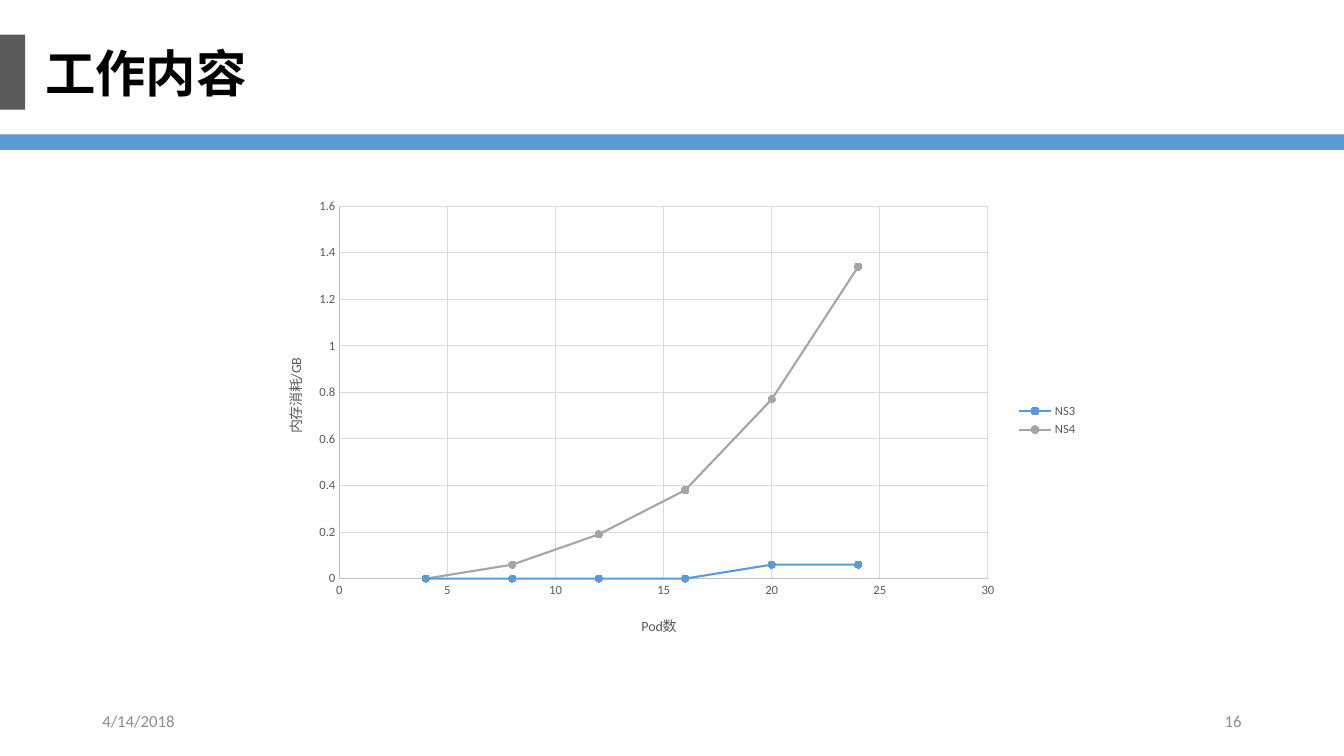
from pptx import Presentation
from pptx.chart.data import XyChartData
from pptx.dml.color import RGBColor
from pptx.enum.chart import XL_CHART_TYPE as ChartType
from pptx.enum.chart import XL_LEGEND_POSITION as LegendPosition
from pptx.enum.chart import XL_MARKER_STYLE as MarkerStyle
from pptx.enum.chart import XL_TICK_MARK as TickMark
from pptx.enum.shapes import MSO_SHAPE as Preset
from pptx.enum.text import MSO_ANCHOR as Anchor
from pptx.enum.text import MSO_AUTO_SIZE as AutoSize
from pptx.enum.text import PP_ALIGN as Align
from pptx.oxml import parse_xml
from pptx.oxml.ns import nsdecls, qn
from pptx.util import Pt

BLACK = RGBColor(0x00, 0x00, 0x00)
DARK_GREY = RGBColor(0x59, 0x59, 0x59)
FOOTER_GREY = RGBColor(0x8C, 0x8C, 0x8C)
SERIES_GREY = RGBColor(0xA5, 0xA5, 0xA5)
AXIS_GREY = RGBColor(0xBF, 0xBF, 0xBF)
GRID_GREY = RGBColor(0xD9, 0xD9, 0xD9)
BLUE = RGBColor(0x5B, 0x9B, 0xD5)

PODS = [4, 8, 12, 16, 20, 24]
MEMORY = [
    ("NS3", BLUE, [0, 0, 0, 0, 0.06, 0.06]),
    ("NS4", SERIES_GREY, [0, 0.06, 0.19, 0.38, 0.77, 1.34]),
]


def set_font(font, size, color, name="Calibri", bold=False):
    font.size, font.name, font.bold = Pt(size), name, bold
    font.color.rgb = color


def write(frame, text, align=Align.LEFT, east_asian=None, **style):
    """Fill a text frame with one formatted paragraph."""
    para = frame.paragraphs[0]
    para.alignment = align
    span = para.add_run()
    span.text = text
    set_font(span.font, **style)
    if east_asian:
        span.font._element.append(
            parse_xml(f'<a:ea {nsdecls("a")} typeface="{east_asian}"/>'))


def set_layout(element, index, target="", **fractions):
    """Place a chart part by fractions of the chart area."""
    old = element.find(qn("c:layout"))
    if old is not None:
        element.remove(old)
    modes = "".join(f'<c:{side}Mode val="edge"/>' for side in "xy")
    values = "".join(f'<c:{key} val="{value}"/>' for key, value in fractions.items())
    element.insert(index, parse_xml(
        f'<c:layout {nsdecls("c")}><c:manualLayout>{target}{modes}{values}'
        "</c:manualLayout></c:layout>"))


class PageBuilder:
    font = "Calibri"
    heading_font = "Noto Sans CJK SC"

    def __init__(self, page):
        self.page = page

    def bar(self, left, top, width, height, color, rotation=0):
        box = self.page.shapes.add_shape(
            Preset.RECTANGLE, Pt(left), Pt(top), Pt(width), Pt(height))
        box.shadow.inherit = False
        box.fill.solid()
        box.fill.fore_color.rgb = color
        box.line.fill.background()
        box.rotation = rotation

    def text_box(self, left, top, width, height):
        box = self.page.shapes.add_textbox(Pt(left), Pt(top), Pt(width), Pt(height))
        return box.text_frame

    def heading(self, text):
        frame = self.text_box(25.2, 26.6, 160, 51)
        frame.word_wrap = False
        frame.auto_size = AutoSize.SHAPE_TO_FIT_TEXT
        write(frame, text, size=36, color=BLACK, name=self.heading_font,
              east_asian=self.heading_font, bold=True)

    def footer(self, left, text, align):
        frame = self.text_box(left, 500.5, 216, 28.75)
        frame.word_wrap = True
        frame.vertical_anchor = Anchor.MIDDLE
        write(frame, text, align, size=12, color=FOOTER_GREY, name=self.font)

    def axis(self, axis, title, maximum, step, x, y):
        axis.minimum_scale, axis.maximum_scale, axis.major_unit = 0, maximum, step
        axis.major_tick_mark = axis.minor_tick_mark = TickMark.NONE
        axis.has_major_gridlines = True
        for line, color in ((axis.format.line, AXIS_GREY),
                            (axis.major_gridlines.format.line, GRID_GREY)):
            line.color.rgb = color
            line.width = Pt(0.75)
        set_font(axis.tick_labels.font, 9, DARK_GREY, self.font)
        axis.tick_labels.number_format = "General"
        axis.tick_labels.number_format_is_linked = False
        write(axis.axis_title.text_frame, title, Align.CENTER,
              size=10, color=DARK_GREY, name=self.font)
        set_layout(axis.axis_title._element, 1, x=x, y=y)

    def memory_chart(self, left, top, width, height):
        data = XyChartData()
        for name, _, values in MEMORY:
            series = data.add_series(name)
            for pods, value in zip(PODS, values):
                series.add_data_point(pods, value)
        chart = self.page.shapes.add_chart(
            ChartType.XY_SCATTER_SMOOTH, Pt(left), Pt(top), Pt(width), Pt(height),
            data).chart
        chart.has_title = False
        set_font(chart.font, 10, BLACK, self.font)
        chart.has_legend = True
        chart.legend.position = LegendPosition.RIGHT
        chart.legend.include_in_layout = False
        set_font(chart.legend.font, 9, DARK_GREY, self.font)
        plot = chart.plots[0]
        plot.vary_by_categories = False
        for series, (_, color, _) in zip(plot.series, MEMORY):
            series.smooth = True
            series.format.line.color.rgb = color
            series.format.line.width = Pt(1.5)
            marker = series.marker
            marker.style, marker.size = MarkerStyle.CIRCLE, 5
            marker.format.fill.solid()
            marker.format.fill.fore_color.rgb = color
            marker.format.line.color.rgb = color
        self.axis(chart.category_axis, "Pod数", 30, 5, x=0.46, y=0.91)
        self.axis(chart.value_axis, "内存消耗/GB", 1.6, 0.2, x=0.03, y=0.36)
        set_layout(chart._chartSpace.chart.plotArea, 0,
                   '<c:layoutTarget val="inner"/>', x=0.1, y=0.04, w=0.78, h=0.8)


def main():
    deck = Presentation()
    deck.slide_width, deck.slide_height = Pt(960), Pt(540)
    builder = PageBuilder(deck.slides.add_slide(deck.slide_layouts[6]))
    builder.footer(66, "4/14/2018", Align.LEFT)
    builder.footer(678, "16", Align.RIGHT)
    builder.bar(0, 24.8, 18, 53.6, DARK_GREY)
    builder.heading("工作内容")
    builder.bar(0, 96, 960, 11, BLUE, rotation=180)
    builder.memory_chart(183, 134, 594, 332.6)
    deck.save("out.pptx")


if __name__ == "__main__":
    main()
